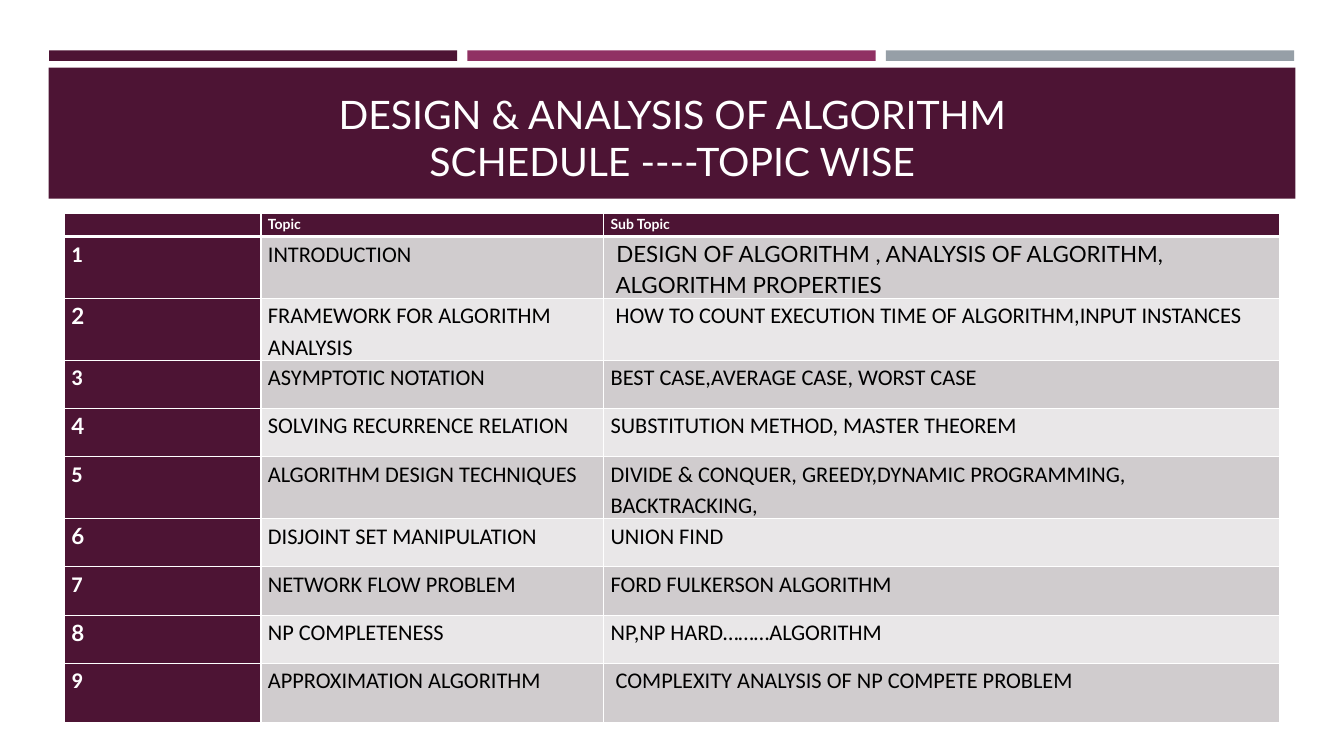
from lxml.etree import SubElement
from pptx import Presentation
from pptx.dml.color import RGBColor
from pptx.enum.shapes import MSO_SHAPE as Preset
from pptx.enum.text import MSO_ANCHOR as Anchor, PP_ALIGN as Align
from pptx.oxml.ns import qn
from pptx.util import Pt

COLORS = {
    "plum": "4D1434",
    "magenta": "903163",
    "gray": "969FA7",
    "dark_band": "D0CCCE",
    "light_band": "E9E7E8",
    "white": "FFFFFF",
    "black": "000000",
}
TITLE = ["DESIGN & ANALYSIS OF ALGORITHM", "SCHEDULE ----TOPIC WISE"]
HEADINGS = ["", "Topic", "Sub Topic"]
TOPICS = [
    ("INTRODUCTION",
     [" DESIGN OF ALGORITHM , ANALYSIS OF ALGORITHM,", " ALGORITHM PROPERTIES"]),
    ("FRAMEWORK FOR ALGORITHM ANALYSIS",
     [" HOW TO COUNT EXECUTION TIME OF ALGORITHM,INPUT INSTANCES"]),
    ("ASYMPTOTIC NOTATION", ["BEST CASE,AVERAGE CASE, WORST CASE"]),
    ("SOLVING RECURRENCE RELATION", ["SUBSTITUTION METHOD, MASTER THEOREM"]),
    ("ALGORITHM DESIGN TECHNIQUES",
     ["DIVIDE & CONQUER, GREEDY,DYNAMIC PROGRAMMING, BACKTRACKING, "]),
    ("DISJOINT SET MANIPULATION", ["UNION FIND"]),
    ("NETWORK FLOW PROBLEM", ["FORD FULKERSON ALGORITHM"]),
    ("NP COMPLETENESS", ["NP,NP HARD………ALGORITHM"]),
    ("APPROXIMATION ALGORITHM", [" COMPLEXITY ANALYSIS OF NP COMPETE PROBLEM"]),
]
COLUMN_WIDTHS = [140.4, 244.8, 483.1]
ROW_HEIGHTS = [16.5, 37] + [34.5] * 7 + [42.5]


def rgb(color):
    return RGBColor.from_string(COLORS[color])


def add_bar(slide, left, top, width, height, color):
    bar = slide.shapes.add_shape(
        Preset.RECTANGLE, Pt(left), Pt(top), Pt(width), Pt(height))
    bar.shadow.inherit = False
    bar.fill.solid()
    bar.fill.fore_color.rgb = rgb(color)
    bar.line.fill.background()


def add_run(paragraph, text, size, font, color, bold=False):
    run = paragraph.add_run()
    run.text = text
    run.font.size = Pt(size)
    run.font.name = font
    run.font.bold = bold
    run.font.color.rgb = rgb(color)


def add_title(slide):
    title = slide.shapes.add_textbox(Pt(46), Pt(55.5), Pt(868.3), Pt(80))
    frame = title.text_frame
    frame.word_wrap = True
    frame.vertical_anchor = Anchor.BOTTOM
    paragraph = frame.paragraphs[0]
    paragraph.alignment = Align.CENTER
    first, second = TITLE
    add_run(paragraph, first, 28, "Lato", "white")
    paragraph.add_line_break()
    add_run(paragraph, second, 28, "Lato", "white")


def set_borders(cell, bottom):
    properties = cell._tc.get_or_add_tcPr()
    sides = {"a:lnL": 1, "a:lnR": 1, "a:lnT": 1, "a:lnB": bottom}
    for position, (side, width) in enumerate(sides.items()):
        border = properties.makeelement(qn(side), {"w": str(Pt(width))})
        fill = SubElement(border, qn("a:solidFill"))
        SubElement(fill, qn("a:srgbClr"), val=COLORS["white"])
        properties.insert(position, border)


def fill_cell(cell, lines, fill, size, font, color, bold=False, bottom=1):
    cell.fill.solid()
    cell.fill.fore_color.rgb = rgb(fill)
    cell.margin_left = cell.margin_right = Pt(5)
    cell.margin_top = cell.margin_bottom = Pt(0)
    set_borders(cell, bottom)
    frame = cell.text_frame
    for position, line in enumerate(lines):
        paragraph = frame.add_paragraph() if position else frame.paragraphs[0]
        paragraph.line_spacing = 1.15
        if line:
            add_run(paragraph, line, size, font, color, bold)
        else:
            SubElement(paragraph._p, qn("a:endParaRPr"), sz=str(size * 100))


def add_schedule(slide):
    schedule = slide.shapes.add_table(
        len(ROW_HEIGHTS), len(COLUMN_WIDTHS), Pt(46), Pt(152.5),
        Pt(sum(COLUMN_WIDTHS)), Pt(sum(ROW_HEIGHTS))).table
    for column, width in zip(schedule.columns, COLUMN_WIDTHS):
        column.width = Pt(width)
    for row, height in zip(schedule.rows, ROW_HEIGHTS):
        row.height = Pt(height)
    for column, heading in enumerate(HEADINGS):
        fill_cell(schedule.cell(0, column), [heading], "plum", 10, "Lato",
                  "white", bold=True, bottom=3)
    for number, (topic, subtopics) in enumerate(TOPICS, start=1):
        odd = number % 2 == 1
        band = "dark_band" if odd else "light_band"
        number_font = "Calibri" if odd else "Lato"
        subtopic_font = "Lato" if number == 1 else "Calibri"
        fill_cell(schedule.cell(number, 0), [str(number)], "plum", 16,
                  number_font, "white", bold=True)
        fill_cell(schedule.cell(number, 1), [topic], band, 16, "Calibri", "black")
        fill_cell(schedule.cell(number, 2), subtopics, band, 16,
                  subtopic_font, "black")


def main():
    deck = Presentation()
    deck.slide_width, deck.slide_height = Pt(960), Pt(540)
    slide = deck.slides.add_slide(deck.slide_layouts[6])
    for position, color in enumerate(["plum", "magenta", "gray"]):
        add_bar(slide, 35 + position * 298.9, 36, 291.6, 7.5, color)
    add_bar(slide, 34.75, 48.25, 890.5, 93.75, "plum")
    add_title(slide)
    add_schedule(slide)
    deck.save("out.pptx")


main()
